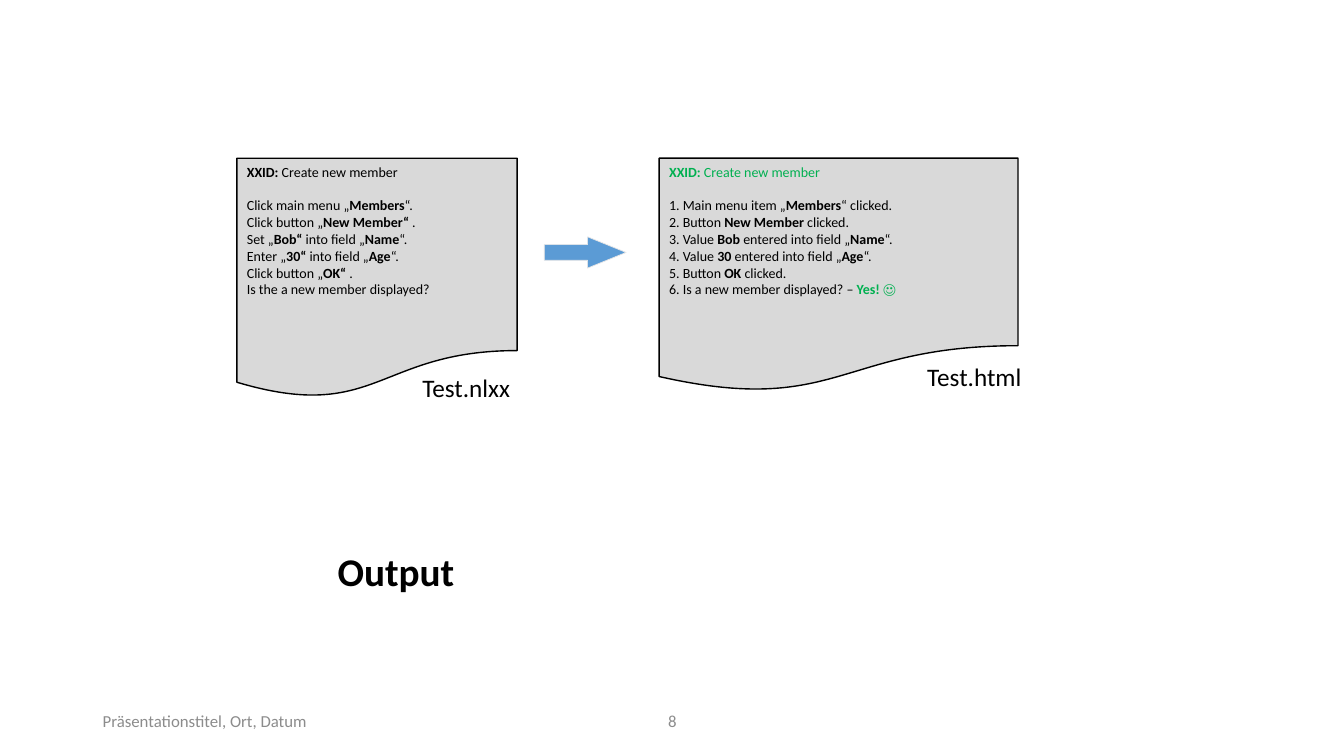
from pptx import Presentation, util as u
from pptx.dml.color import RGBColor
from pptx.enum import shapes as sh, text as tx

deck = Presentation()
deck.slide_width, deck.slide_height = u.Inches(13.33), u.Inches(7.5)
slide = deck.slides.add_slide(deck.slide_layouts[6])
BLACK, GREEN, GRAY = "000000", "00B050", "8C8C8C"


def area(*box):
    """Turn percent of the slide's width and height into lengths."""
    sides = (deck.slide_width, deck.slide_height) * 2
    return [int(side * part / 100) for side, part in zip(sides, box)]


def write(shape, lines, size, align=tx.PP_ALIGN.LEFT):
    """Write (text, ink, bold ink) lines; stars enclose bold words."""
    frame = shape.text_frame
    for n, (line, ink, strong) in enumerate(lines):
        para = frame.paragraphs[0] if n == 0 else frame.add_paragraph()
        para.alignment = align
        for i, part in enumerate(line.split("*")):
            if not part:
                continue
            run = para.add_run()
            run.text = part
            form = {"name": "Calibri", "size": u.Pt(size), "bold": i % 2 == 1}
            for key, value in form.items():
                setattr(run.font, key, value)
            run.font.color.rgb = RGBColor.from_string(strong if i % 2 else ink)
    return frame


# Documents and arrow: kind, box, fill, line colour, line width
page = sh.MSO_SHAPE.FLOWCHART_DOCUMENT
forms = [
    (page, (17.63, 20.93, 20.85, 31.73), "D9D9D9", BLACK, 1),
    (page, (49.05, 20.93, 26.7, 30.93), "D9D9D9", BLACK, 1),
    (sh.MSO_SHAPE.RIGHT_ARROW, (40.5, 31.33, 6.08, 4.13), "5B9BD5", "E7E6E6", 0.5),
]
drawn = []
for kind, box, fill, edge, width in forms:
    form = slide.shapes.add_shape(kind, *area(*box))
    form.shadow.inherit = False
    form.fill.solid()
    form.fill.fore_color.rgb = RGBColor.from_string(fill)
    form.line.color.rgb = RGBColor.from_string(edge)
    form.line.width = u.Pt(width)
    drawn.append(form)
source, result, arrow = drawn
arrow.adjustments[1] = 1.23

# Test steps and their results
steps = [
    "Click main menu „*Members*“.",
    "Click button „*New Member“* .",
    "Set „*Bob“ *into field „*Name*“.",
    "Enter „*30“ *into field „*Age*“.",
    "Click button „*OK“* .",
    "Is the a new member displayed?",
]
checks = [
    "Main menu item „*Members*“ clicked.",
    "Button *New Member* clicked.",
    "Value *Bob *entered into field „*Name*“.",
    "Value *30 *entered into field „*Age*“.",
    "Button *OK* clicked.",
]
title = "*XXID:* Create new member"
before = [(title, BLACK, BLACK)] + [(step, BLACK, BLACK) for step in steps]
after = [(title, GREEN, GREEN)]
after += [(f"{n}. {check}", BLACK, BLACK) for n, check in enumerate(checks, 1)]
after += [("6. Is a new member displayed? – *Yes! ☺*", BLACK, GREEN)]
for form, lines in ((source, before), (result, after)):
    frame = write(form, lines, 10)
    frame.vertical_anchor = tx.MSO_ANCHOR.TOP
    frame.paragraphs[0].space_after = u.Pt(12)

# File names, caption and footer: text, box, size, ink, align, anchor, wrap
left, mid = tx.PP_ALIGN.LEFT, tx.PP_ALIGN.CENTER
top, center = tx.MSO_ANCHOR.TOP, tx.MSO_ANCHOR.MIDDLE
labels = [
    ("Test.nlxx", (30.68, 48.53, 8.1, 5.33), 18, BLACK, left, top, False),
    ("Test.html", (68.25, 47.07, 8.63, 5.33), 18, BLACK, left, top, False),
    ("*Output*", (24.38, 71.73, 18.38, 7.6), 28, BLACK, left, top, True),
    ("Präsentationstitel, Ort, Datum", (6.9, 92.67, 22.5, 5.33), 12, GRAY, left, center, True),
    ("8", (33.15, 92.67, 33.75, 5.33), 12, GRAY, mid, center, True),
]
for words, box, size, ink, align, anchor, wrap in labels:
    label = slide.shapes.add_textbox(*area(*box))
    frame = write(label, [(words, ink, ink)], size, align)
    frame.vertical_anchor, frame.word_wrap = anchor, wrap

deck.save("out.pptx")
